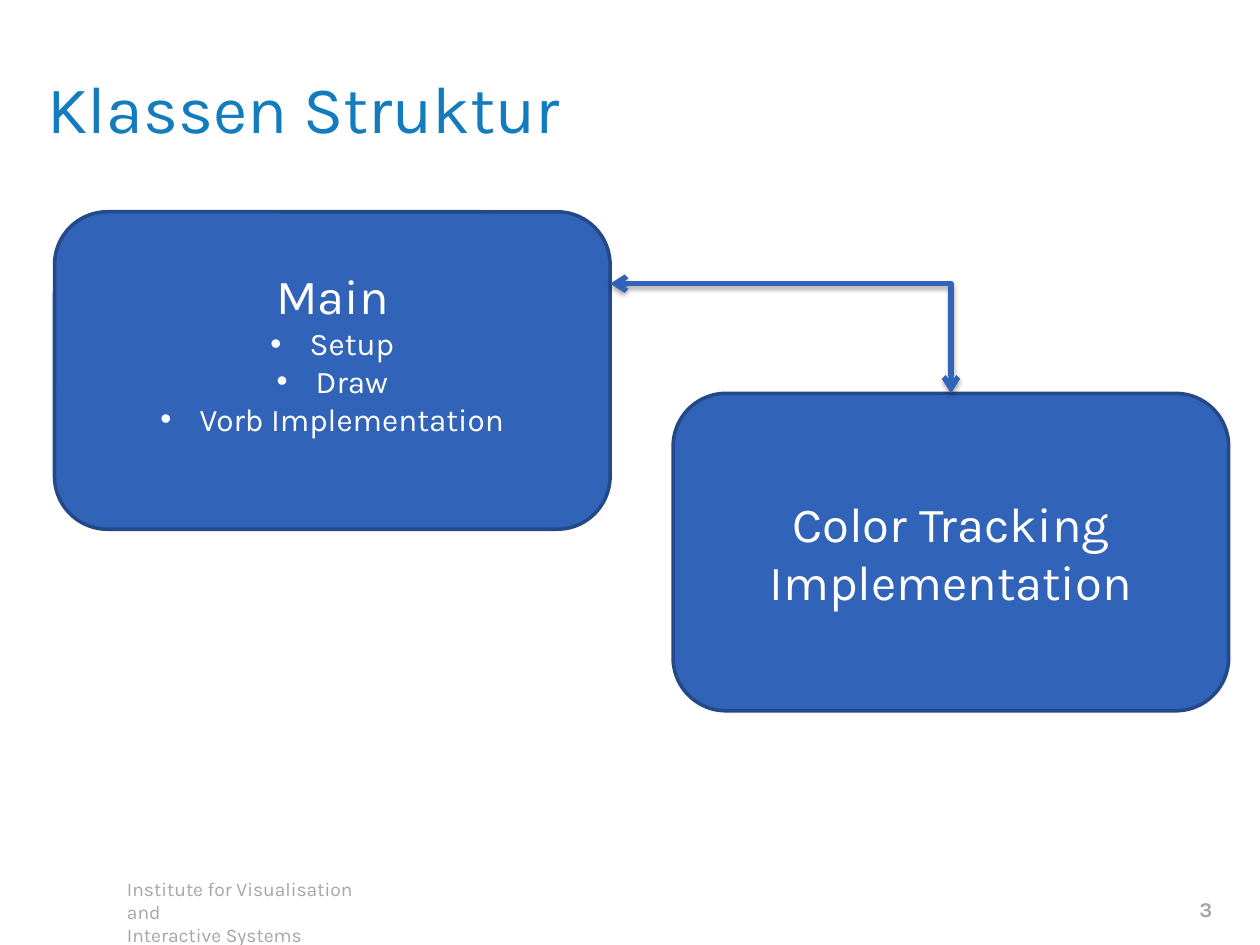
"""Build the class structure slide."""
import dataclasses
import typing

import lxml.etree
import pptx
import pptx.dml.color
import pptx.enum.dml
import pptx.enum.shapes
import pptx.enum.text
import pptx.oxml
import pptx.oxml.ns
import pptx.slide
import pptx.util

Cm = pptx.util.Cm
Pt = pptx.util.Pt
Align = pptx.enum.text.PP_ALIGN
Anchor = pptx.enum.text.MSO_ANCHOR
qn = pptx.oxml.ns.qn


@dataclasses.dataclass(frozen=True)
class Theme:
    font: str = "Karla"
    title: str = "137CBE"
    grey: str = "A6A6A6"
    fill: str = "3163B8"
    edge: str = "244988"
    white: str = "FFFFFF"
    title_size: float = 38
    head_size: float = 28
    item_size: float = 18
    page_size: float = 12
    foot_size: float = 11


@dataclasses.dataclass(frozen=True)
class Area:
    left: float
    top: float
    width: float
    height: float

    def place(self) -> list[int]:
        return [Cm(n) for n in dataclasses.astuple(self)]


@dataclasses.dataclass(frozen=True)
class Label:
    area: Area
    lines: tuple[str, ...]
    size: float
    color: str
    align: Align = Align.LEFT
    anchor: Anchor = Anchor.MIDDLE
    bold: bool = False


@dataclasses.dataclass(frozen=True)
class Node:
    area: Area
    head: str
    items: tuple[str, ...] = ()
    base: float = 0.13


THEME = Theme()
WIDTH, HEIGHT = 11.2, 6.4
MAIN = Node(Area(1.1, 4.27, WIDTH, HEIGHT), "Main",
            ("Setup", "Draw", "Vorb Implementation"), 0.89)
TRACK = Node(Area(13.57, 7.93, WIDTH, HEIGHT), "Color Tracking Implementation")
LABELS = (
    Label(Area(2.31, 17.56, 5.18, 1.19),
          ("Institute for Visualisation and", "Interactive Systems"),
          THEME.foot_size, THEME.grey, anchor=Anchor.TOP),
    Label(Area(17.17, 17.73, 7.52, 1.19), ("3",),
          THEME.page_size, THEME.grey, Align.RIGHT, bold=True),
    Label(Area(0.71, 0.64, 24, 3.05), ("Klassen Struktur",),
          THEME.title_size, THEME.title),
)


def tint(color: str) -> pptx.dml.color.RGBColor:
    return pptx.dml.color.RGBColor.from_string(color)


def add_run(para: typing.Any, text: str, size: float, color: str, bold: bool = False) -> None:
    run = para.add_run()
    run.text = text
    run.font.name = THEME.font
    run.font.size = Pt(size)
    run.font.bold = bold
    run.font.color.rgb = tint(color)


def add_label(slide: pptx.slide.Slide, label: Label) -> None:
    frame = slide.shapes.add_textbox(*label.area.place()).text_frame
    frame.word_wrap = True
    frame.vertical_anchor = label.anchor
    para = frame.paragraphs[0]
    para.alignment = label.align
    for rank, line in enumerate(label.lines):
        if rank:
            para.add_line_break()
        add_run(para, line, label.size, label.color, label.bold)


def add_node(slide: pptx.slide.Slide, node: Node) -> None:
    kind = pptx.enum.shapes.MSO_SHAPE.ROUNDED_RECTANGLE
    shape = slide.shapes.add_shape(kind, *node.area.place())
    shape.shadow.inherit = False
    shape.fill.solid()
    shape.fill.fore_color.rgb = tint(THEME.fill)
    shape.line.color.rgb = tint(THEME.edge)
    shape.line.width = Pt(2)
    frame = shape.text_frame
    frame.word_wrap = True
    frame.vertical_anchor = Anchor.MIDDLE
    frame.margin_bottom = Cm(node.base)
    para = frame.paragraphs[0]
    para.alignment = Align.CENTER
    add_run(para, node.head, THEME.head_size, THEME.white)
    for item in node.items:
        para = frame.add_paragraph()
        para.alignment = Align.CENTER
        add_run(para, item, THEME.item_size, THEME.white)
        props = para._p.get_or_add_pPr()
        props.set("marL", str(Cm(0.79)))
        props.set("indent", str(-Cm(0.79)))
        lxml.etree.SubElement(props, qn("a:buFont")).set("typeface", "Arial")
        lxml.etree.SubElement(props, qn("a:buChar")).set("char", "•")


def add_link(slide: pptx.slide.Slide, start: tuple[float, float], end: tuple[float, float]) -> None:
    mid_x, mid_y = (start[0] + end[0]) / 2, (start[1] + end[1]) / 2
    half_w, half_h = (start[1] - end[1]) / 2, (start[0] - end[0]) / 2
    link = slide.shapes.add_connector(
        pptx.enum.shapes.MSO_CONNECTOR.ELBOW,
        Cm(mid_x - half_w), Cm(mid_y + half_h), Cm(mid_x + half_w), Cm(mid_y - half_h))
    link.line.color.rgb = tint(THEME.fill)
    link.line.width = Pt(3)
    props = link._element.spPr
    props.find(qn("a:xfrm")).set("rot", str(270 * 60000))
    props.find(qn("a:prstGeom")).set("prst", "bentConnector2")
    for tip in ("a:headEnd", "a:tailEnd"):
        lxml.etree.SubElement(props.find(qn("a:ln")), qn(tip)).set("type", "arrow")
    props.append(pptx.oxml.parse_xml(
        f'<a:effectLst {pptx.oxml.ns.nsdecls("a")}>'
        f'<a:outerShdw blurRad="{Pt(3.1)}" dist="{Pt(1.8)}" dir="5400000" rotWithShape="0">'
        '<a:srgbClr val="000000"><a:alpha val="35000"/></a:srgbClr>'
        '</a:outerShdw></a:effectLst>'))


def main() -> None:
    deck = pptx.Presentation()
    deck.slide_width, deck.slide_height = Cm(25.4), Cm(19.05)
    slide = deck.slides.add_slide(deck.slide_layouts[6])
    for label in LABELS:
        add_label(slide, label)
    for node in (MAIN, TRACK):
        add_node(slide, node)
    add_link(slide, (TRACK.area.left + WIDTH / 2, TRACK.area.top),
             (MAIN.area.left + WIDTH, 5.72))
    deck.save("out.pptx")


if __name__ == "__main__":
    main()
